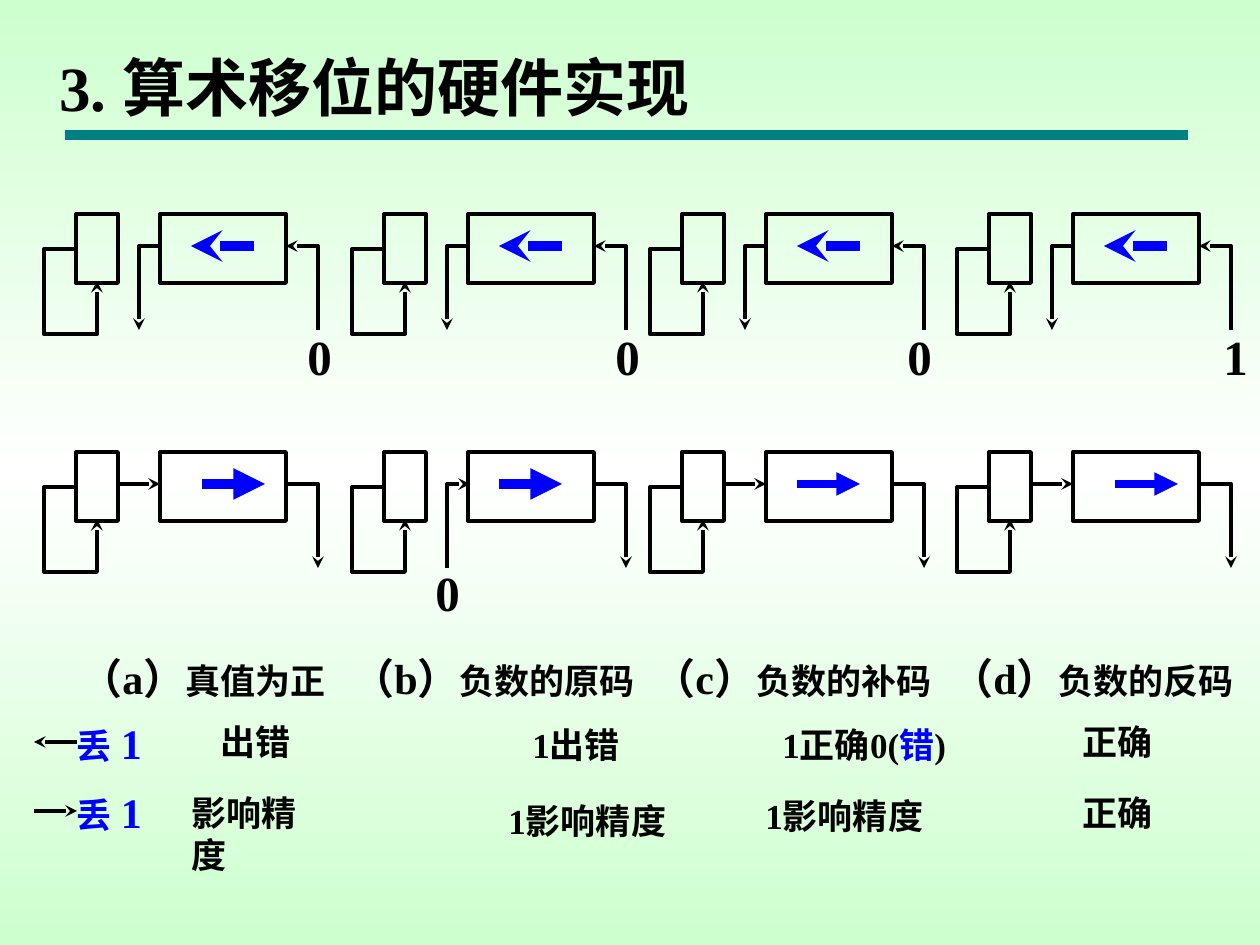
import copy

import pptx
import pptx.dml.color
import pptx.enum.shapes
import pptx.enum.text
import pptx.oxml
import pptx.oxml.ns
import pptx.util

RGB = pptx.dml.color.RGBColor
BLACK = RGB(0x00, 0x00, 0x00)
BLUE = RGB(0x00, 0x00, 0xFF)
TEAL = RGB(0x00, 0x80, 0x80)
WHITE = RGB(0xFF, 0xFF, 0xFF)
MINT = RGB(0xCD, 0xFF, 0xCE)
FONT = "Times New Roman"
PX = 914400 / 126

# Content: boxes are left, top, width, height; runs are text, size, colour
TITLE = ((47, 42, 670, 88), [("3. 算术移位的硬件实现", 36, BLACK)])
CASES = [
    (68, 299, "（a）", "真值为正"),
    (340, 328, "（b）", "负数的原码"),
    (641, 323, "（c）", "负数的补码"),
    (939, 328, "（d）", "负数的反码"),
]
OUTCOMES = [
    ((208, 714, 95, 55), [("出错", 20, BLACK)]),
    ((179, 785, 165, 55), [("影响精度", 20, BLACK)]),
    ((520, 717, 121, 55), [("1出错", 20, BLACK)]),
    ((496, 793, 192, 55), [("1影响精度", 20, BLACK)]),
    ((770, 717, 222, 55), [("1正确0(", 20, BLACK), ("错", 20, BLUE), (")", 20, BLACK)]),
    ((753, 788, 192, 55), [("1影响精度", 20, BLACK)]),
    ((1070, 714, 95, 55), [("正确", 20, BLACK)]),
    ((1070, 785, 95, 55), [("正确", 20, BLACK)]),
]
LOST_BIT = [("丢", 20, BLUE), (" 1", 24, BLUE)]
LOST_ROWS = [(742, 77, 34), (811, 34, 77)]  # y, arrow start, arrow end

# Left edge of each sign box, with the digit shifted in and its offset
LEFT_SHIFTS = [(76, "0", 219), (384, "0", 219), (682, "0", 213), (989, "1", 222)]
# Left edge, digit shifted in (None: the sign is copied), arrow offset and width
RIGHT_SHIFTS = [(76, None, 126, 6), (384, "0", 115, 6),
                (682, None, 115, 4.5), (989, None, 126, 4.5)]
LEFT_TOP, RIGHT_TOP = 214, 452

# Register geometry, relative to the top left of the sign box
SIGN_BOX = (0, 0, 42, 69)
REGISTER = (84, 0, 126, 69)
SIGN_LOOP = [(0, 35), (-32, 35), (-32, 120), (21, 120), (21, 67)]
LEFT_WIRE = [(86, 32), (63, 32), (63, 116)]
RIGHT_WIRE = [(242, 116), (242, 32), (210, 32)]
SHIFT_LENGTH, AXIS = 63, 32


def px(value):
    return round(value * PX)


def add_text(slide, box, runs, bold=True, font=FONT):
    frame = slide.shapes.add_textbox(*map(px, box)).text_frame
    frame.word_wrap = False
    frame.auto_size = pptx.enum.text.MSO_AUTO_SIZE.SHAPE_TO_FIT_TEXT
    for text, size, color in runs:
        run = frame.paragraphs[0].add_run()
        run.text = text
        run.font.name = font
        run.font.size = pptx.util.Pt(size)
        run.font.bold = bold
        run.font.color.rgb = color


def style_line(part, color, width, arrow=None):
    part.line.color.rgb = color
    part.line.width = pptx.util.Pt(width)
    if arrow:
        tail = pptx.oxml.parse_xml(
            f'<a:tailEnd {pptx.oxml.ns.nsdecls("a")} type="{arrow}"/>')
        part.line._get_or_add_ln().append(tail)


def add_line(slide, start, end, color=BLACK, width=2.25, arrow=None):
    line = slide.shapes.add_connector(
        pptx.enum.shapes.MSO_CONNECTOR.STRAIGHT, *map(px, start + end))
    style_line(line, color, width, arrow)
    line._element.spPr.append(
        pptx.oxml.parse_xml(f'<a:effectLst {pptx.oxml.ns.nsdecls("a")}/>'))


def add_box(slide, left, top, box):
    x, y, width, height = box
    rectangle = slide.shapes.add_shape(
        pptx.enum.shapes.MSO_SHAPE.RECTANGLE,
        *map(px, (left + x, top + y, width, height)))
    rectangle.shadow.inherit = False
    rectangle.fill.background()
    style_line(rectangle, BLACK, 2.25)


def add_wire(slide, left, top, points):
    points = [(left + x, top + y) for x, y in points]
    builder = slide.shapes.build_freeform(*points[0], scale=PX)
    builder.add_line_segments(points[1:], close=False)
    wire = builder.convert_to_shape()
    wire.shadow.inherit = False
    wire.fill.background()
    style_line(wire, BLACK, 2.25, "stealth")


def add_register(slide, left, top, wires):
    add_box(slide, left, top, SIGN_BOX)
    add_box(slide, left, top, REGISTER)
    for points in [SIGN_LOOP] + wires:
        add_wire(slide, left, top, points)


def add_digit(slide, left, top, digit):
    add_text(slide, (left, top, 49, 72), [(digit, 28, BLACK)])


def fill_background(slide):
    fill = slide.background.fill
    fill.gradient()
    fill.gradient_angle = 90
    stops = slide._element.find(".//" + pptx.oxml.ns.qn("a:gsLst"))
    stops.insert(1, copy.deepcopy(stops[0]))
    for stop, color, position in zip(fill.gradient_stops, (MINT, WHITE, MINT), (0, 0.5, 1)):
        stop.color.rgb = color
        stop.position = position


def main():
    deck = pptx.Presentation()
    deck.slide_width = pptx.util.Inches(10)
    deck.slide_height = pptx.util.Inches(7.5)
    slide = deck.slides.add_slide(deck.slide_layouts[6])
    fill_background(slide)

    # Title and rule
    add_line(slide, (65, 135), (1188, 135), TEAL, 6)
    add_text(slide, *TITLE)

    # Left shifts
    for left, digit, digit_offset in LEFT_SHIFTS:
        add_register(slide, left, LEFT_TOP, [LEFT_WIRE, RIGHT_WIRE])
        add_digit(slide, left + digit_offset, LEFT_TOP + 106, digit)
        y = LEFT_TOP + AXIS
        add_line(slide, (left + 115 + SHIFT_LENGTH, y), (left + 115, y), BLUE, 6, "stealth")

    # Right shifts
    for left, digit, offset, width in RIGHT_SHIFTS:
        y = RIGHT_TOP + AXIS
        wires = [RIGHT_WIRE[::-1]]
        if digit:
            wires.append(LEFT_WIRE[::-1])
            add_digit(slide, left + 39, RIGHT_TOP + 104, digit)
        else:
            add_line(slide, (left + 42, y), (left + 84, y), arrow="stealth")
        add_register(slide, left, RIGHT_TOP, wires)
        add_line(slide, (left + offset, y), (left + offset + SHIFT_LENGTH, y),
                 BLUE, width, "triangle")

    # Case labels and outcomes
    for left, width, letter, case in CASES:
        add_text(slide, (left, 646, width, 63), [(letter, 24, BLACK), (case, 20, BLACK)])
    for y, start, end in LOST_ROWS:
        add_line(slide, (start, y), (end, y), arrow="stealth")
        add_text(slide, (64, y - 31, 101, 63), LOST_BIT)
    for box, runs in OUTCOMES:
        add_text(slide, box, runs)

    deck.save("out.pptx")


if __name__ == "__main__":
    main()
